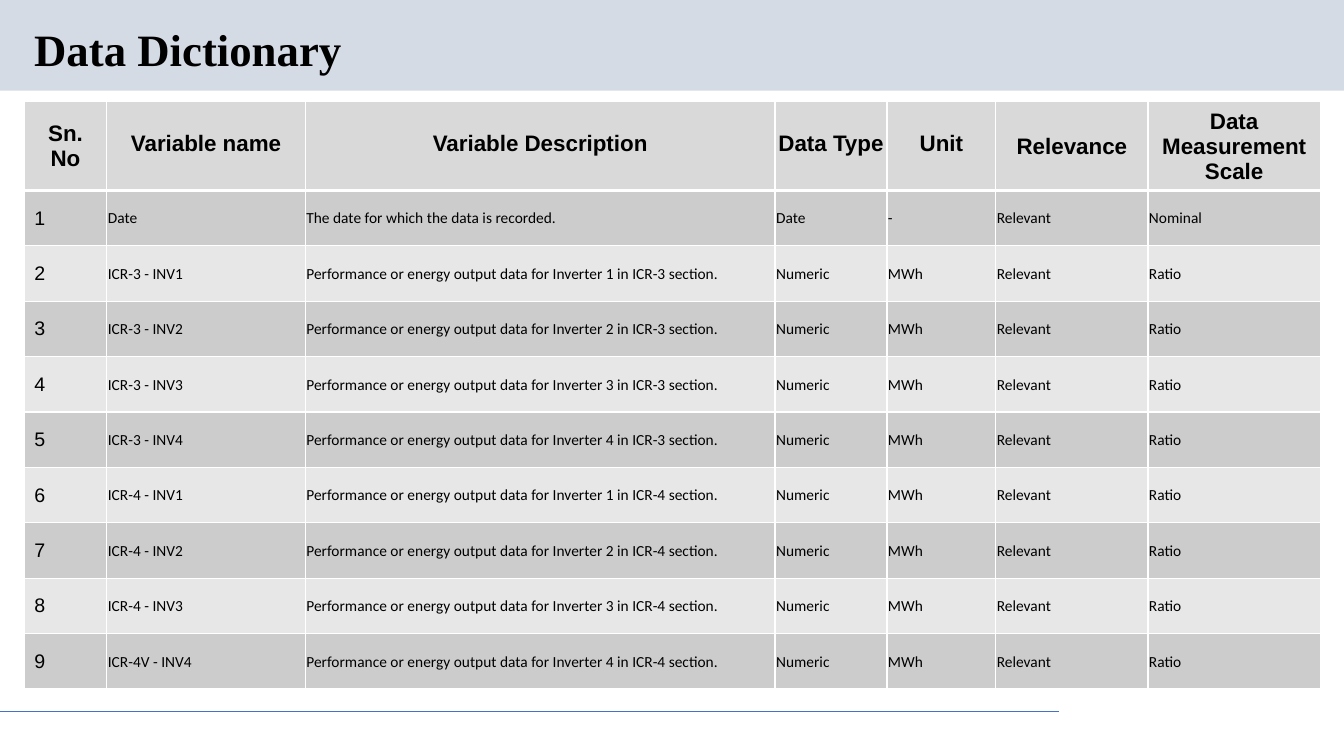
from dataclasses import dataclass

from lxml.etree import SubElement
from pptx import Presentation
from pptx.dml.color import RGBColor
from pptx.enum.shapes import MSO_CONNECTOR, MSO_SHAPE
from pptx.enum.text import MSO_ANCHOR, MSO_AUTO_SIZE, PP_ALIGN
from pptx.oxml.ns import qn
from pptx.util import Inches, Length, Pt

GRID_COLUMNS, GRID_ROWS = 160, 90
COLORS = {
    "band": "D5DBE5",
    "rule": "4472C4",
    "text": "000000",
    "header": "D9D9D9",
    "odd": "CCCCCC",
    "even": "E7E7E7",
    "border": "FFFFFF",
}
COLUMN_SPANS = (9.84, 23.64, 55.92, 13.32, 12.96, 18.12, 20.52)
HEADER_SPAN, BODY_SPAN = 10.56, 6.6


@dataclass(frozen=True)
class Box:
    column: float
    row: float
    columns: float
    rows: float

    def place(self) -> tuple[Length, Length, Length, Length]:
        return units(self.column), units(self.row), units(self.columns), units(self.rows)


@dataclass(frozen=True)
class TextStyle:
    font: str
    size: float
    bold: bool = False
    align: PP_ALIGN = PP_ALIGN.LEFT


@dataclass(frozen=True)
class Margins:
    left: float
    top: float
    right: float
    bottom: float


@dataclass(frozen=True)
class Variable:
    name: str
    description: str
    data_type: str
    unit: str
    relevance: str
    scale: str


TITLE_STYLE = TextStyle("Times New Roman", 32, True)
HEADER_STYLE = TextStyle("Arial", 16, True, PP_ALIGN.CENTER)
NUMBER_STYLE = TextStyle("Arial", 14)
BODY_STYLE = TextStyle("Calibri", 11)

WIDE = Margins(0.1, 0.05, 0.1, 0.05)
RAISED = Margins(0.01, 0.01, 0.01, 0.05)
TIGHT = Margins(0.01, 0.01, 0.01, 0)

HEADERS = (
    ("Sn. No", WIDE),
    ("Variable name", RAISED),
    ("Variable Description", RAISED),
    ("Data Type", RAISED),
    ("Unit", RAISED),
    ("Relevance", TIGHT),
    ("Data Measurement Scale", TIGHT),
)


def units(count: float) -> Length:
    return Inches(count / 12)


def color(name: str) -> RGBColor:
    return RGBColor.from_string(COLORS[name])


def inverter(section: str, number: int) -> Variable:
    prefix = "ICR-4V" if (section, number) == ("ICR-4", 4) else section
    return Variable(
        f"{prefix} - INV{number}",
        f"Performance or energy output data for Inverter {number} in {section} section.",
        "Numeric", "MWh", "Relevant", "Ratio",
    )


VARIABLES = [
    Variable("Date", "The date for which the data is recorded.", "Date", "-", "Relevant", "Nominal"),
    *(inverter(section, number) for section in ("ICR-3", "ICR-4") for number in range(1, 5)),
]


def write(frame, text: str, style: TextStyle) -> None:
    para = frame.paragraphs[0]
    para.alignment = style.align
    span = para.add_run()
    span.text = text
    span.font.name = style.font
    span.font.size = Pt(style.size)
    span.font.bold = style.bold
    span.font.color.rgb = color("text")


def set_margins(holder, margins: Margins) -> None:
    holder.margin_left = Inches(margins.left)
    holder.margin_top = Inches(margins.top)
    holder.margin_right = Inches(margins.right)
    holder.margin_bottom = Inches(margins.bottom)


def draw_borders(cell, top: float, bottom: float) -> None:
    properties = cell._tc.get_or_add_tcPr()
    for side, width in (("L", 1), ("R", 1), ("T", top), ("B", bottom)):
        line = SubElement(properties, qn(f"a:ln{side}"), w=str(Pt(width)))
        fill = SubElement(line, qn("a:solidFill"))
        SubElement(fill, qn("a:srgbClr"), val=COLORS["border"])


def fill_cell(cell, text: str, style: TextStyle, margins: Margins, fill: str,
              top: float = 1, bottom: float = 1) -> None:
    draw_borders(cell, top, bottom)
    cell.fill.solid()
    cell.fill.fore_color.rgb = color(fill)
    cell.vertical_anchor = MSO_ANCHOR.MIDDLE
    set_margins(cell, margins)
    write(cell.text_frame, text, style)


def draw_backdrop(page) -> None:
    band = page.shapes.add_shape(MSO_SHAPE.RECTANGLE, *Box(0, 0, GRID_COLUMNS, 10.8).place())
    band.shadow.inherit = False
    band.fill.solid()
    band.fill.fore_color.rgb = color("band")
    band.line.fill.background()

    rule = page.shapes.add_connector(
        MSO_CONNECTOR.STRAIGHT, 0, units(84.72), units(126.12), units(84.72)
    )
    rule.line.color.rgb = color("rule")
    rule.line.width = Pt(0.75)
    SubElement(rule._element.spPr, qn("a:effectLst"))


def draw_title(page) -> None:
    frame = page.shapes.add_textbox(*Box(2.88, 2.64, 138, 7.08).place()).text_frame
    frame.word_wrap = True
    frame.auto_size = MSO_AUTO_SIZE.SHAPE_TO_FIT_TEXT
    frame.vertical_anchor = MSO_ANCHOR.MIDDLE
    set_margins(frame, WIDE)
    write(frame, "Data Dictionary", TITLE_STYLE)
    frame.paragraphs[0].line_spacing = 0.9


def draw_dictionary(page) -> None:
    row_spans = [HEADER_SPAN] + [BODY_SPAN] * len(VARIABLES)
    box = Box(2.88, 12.12, sum(COLUMN_SPANS), sum(row_spans))
    table = page.shapes.add_table(len(row_spans), len(COLUMN_SPANS), *box.place()).table
    table.horz_banding = False
    for column, span in zip(table.columns, COLUMN_SPANS):
        column.width = units(span)
    for row, span in zip(table.rows, row_spans):
        row.height = units(span)

    for index, (label, margins) in enumerate(HEADERS):
        fill_cell(table.cell(0, index), label, HEADER_STYLE, margins, "header", bottom=3)
    for number, item in enumerate(VARIABLES, 1):
        fill = "odd" if number % 2 else "even"
        top = 3 if number == 1 else 1
        fill_cell(table.cell(number, 0), str(number), NUMBER_STYLE, WIDE, fill, top)
        values = (item.name, item.description, item.data_type, item.unit, item.relevance, item.scale)
        for index, value in enumerate(values, 1):
            fill_cell(table.cell(number, index), value, BODY_STYLE, TIGHT, fill, top)


def main() -> None:
    deck = Presentation()
    deck.slide_width = units(GRID_COLUMNS)
    deck.slide_height = units(GRID_ROWS)
    page = deck.slides.add_slide(deck.slide_layouts[6])
    draw_backdrop(page)
    draw_title(page)
    draw_dictionary(page)
    deck.save("out.pptx")


if __name__ == "__main__":
    main()
